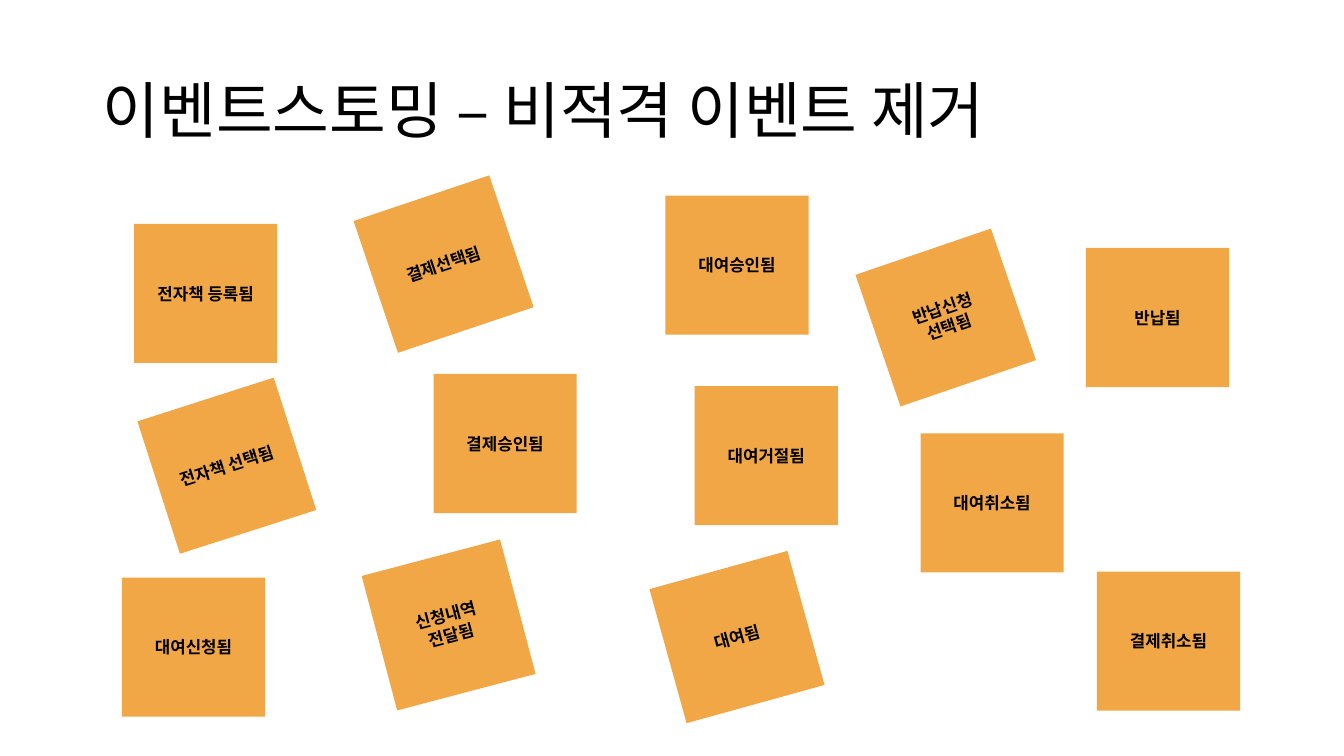
"""Build the event storming slide: a title and scattered sticky notes."""
from lxml.etree import SubElement
from pptx import Presentation
from pptx.dml.color import RGBColor
from pptx.enum.shapes import MSO_SHAPE
from pptx.enum.text import MSO_ANCHOR, MSO_AUTO_SIZE, PP_ALIGN
from pptx.oxml.ns import qn
from pptx.util import Inches, Pt

TITLE = "이벤트스토밍 – 비적격 이벤트 제거"
NOTES = [
    ("전자책 등록됨", 1.33, 2.22, 0),
    ("대여신청됨", 1.21, 5.73, 0),
    ("결제승인됨", 4.3, 3.71, 0),
    ("전자책 선택됨", 1.54, 3.93, 342.2),
    ("신청내역\n전달됨", 3.74, 5.51, 345.2),
    ("대여승인됨", 6.6, 1.94, 0),
    ("대여거절됨", 6.89, 3.83, 0),
    ("대여됨", 6.6, 5.63, 344.5),
    ("결제선택됨", 3.69, 1.93, 341.4),
    ("반납신청\n선택됨", 8.67, 2.46, 341.1),
    ("대여취소됨", 9.13, 4.3, 0),
    ("반납됨", 10.77, 2.46, 0),
    ("결제취소됨", 10.88, 5.67, 0),
]
NOTE_W, NOTE_H = 1.42, 1.38
FONT = "Noto Sans CJK KR"
COLORS = {"note": "F1A746", "text": "000000"}


def set_text(sp, text, size, bold, align):
    tf = sp.text_frame
    tf.text = text
    tf.word_wrap = True
    tf.auto_size = MSO_AUTO_SIZE.NONE
    tf.vertical_anchor = MSO_ANCHOR.MIDDLE
    for p in tf.paragraphs:
        p.alignment = align
        for r in p.runs:
            r.font.size = Pt(size)
            r.font.bold = bold
            r.font.color.rgb = RGBColor.from_string(COLORS["text"])
            r.font.name = FONT
            SubElement(r.font._element, qn("a:ea"), typeface=FONT)


def add_note(s, text, left, top, angle):
    sp = s.shapes.add_shape(MSO_SHAPE.RECTANGLE, Inches(left), Inches(top),
                            Inches(NOTE_W), Inches(NOTE_H))
    sp.rotation = angle
    sp.shadow.inherit = False
    sp.fill.solid()
    sp.fill.fore_color.rgb = RGBColor.from_string(COLORS["note"])
    sp.line.fill.background()
    set_text(sp, text, 12, True, PP_ALIGN.CENTER)


def main():
    prs = Presentation()
    prs.slide_width, prs.slide_height = Inches(13.33), Inches(7.5)
    s = prs.slides.add_slide(prs.slide_layouts[5])
    title = s.shapes.title
    title.left, title.top = Inches(0.92), Inches(0.4)
    title.width, title.height = Inches(11.5), Inches(1.45)
    set_text(title, TITLE, 44, False, PP_ALIGN.LEFT)
    title.text_frame.paragraphs[0].line_spacing = 0.9
    for note in NOTES:
        add_note(s, *note)
    prs.save("out.pptx")


if __name__ == "__main__":
    main()
